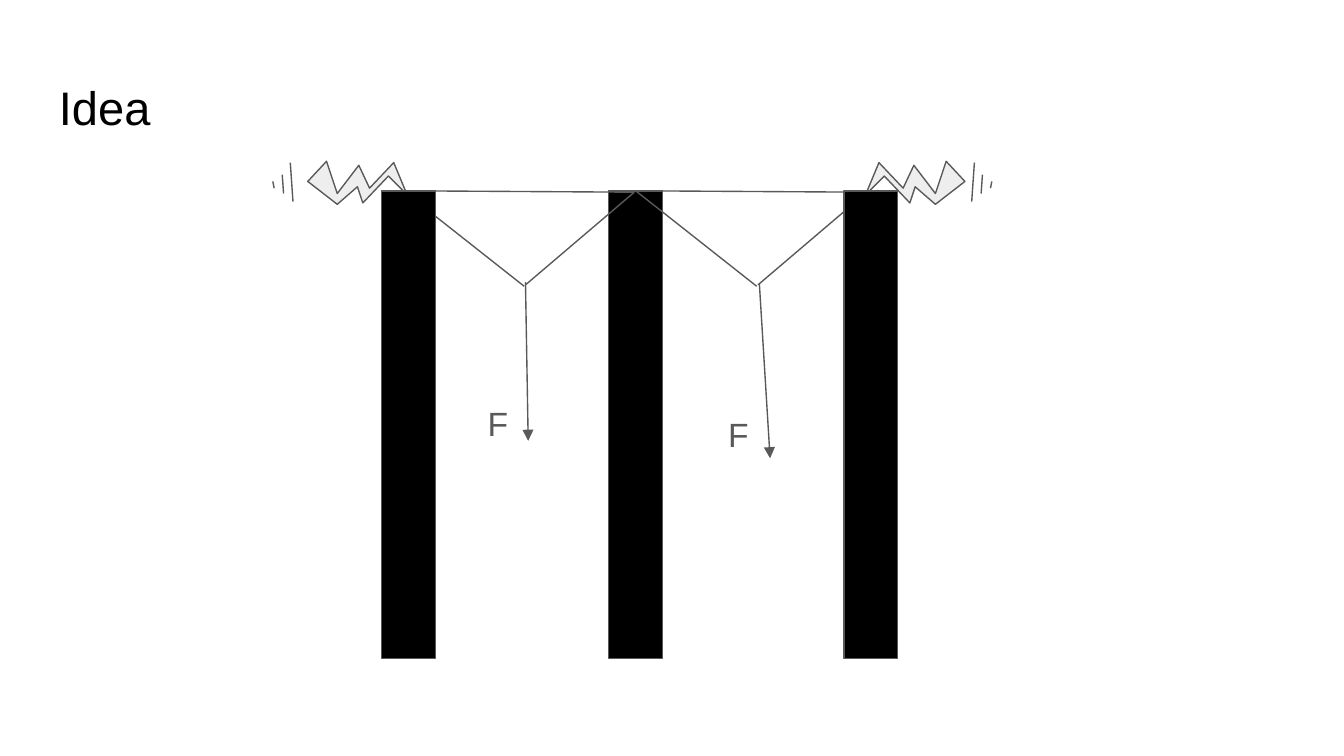
from pptx import Presentation
from pptx.util import Inches, Pt
from pptx.dml.color import RGBColor
from pptx.enum import shapes as sh, text as tx
from pptx.oxml.ns import qn
from lxml import etree

# Content
GREY, BLACK, PALE = "595959", "000000", "EEEEEE"
TEXTS = [("Idea", 0.34, 0.48, 9.32, 0.63, 25.2, BLACK, tx.MSO_ANCHOR.MIDDLE),
         ("F", 3.53, 2.9, 0.4, 0.5, 18, GREY, tx.MSO_ANCHOR.TOP),
         ("F", 5.32, 2.98, 0.4, 0.5, 18, GREY, tx.MSO_ANCHOR.TOP)]
MIDDLE, OUTER = 4.53, (6.28, 2.84)
SPANS = (4.73, 3)  # left end of each rope
ROPE = [(0, 1.42, 1.71, 1.43), (0, 1.42, 0.9, 2.13), (0.91, 2.12, 1.72, 1.43)]
SPRING = [(2.29, 1.35), (2.43, 1.2), (2.51, 1.44), (2.67, 1.23),
          (2.75, 1.4), (2.93, 1.21), (3.03, 1.45), (2.89, 1.31),
          (2.7, 1.51), (2.66, 1.39), (2.51, 1.52)]
SHAKE = [(2.16, 1.21, 2.18, 1.5), (2.1, 1.3, 2.11, 1.44), (2.03, 1.35, 2.04, 1.4)]
FORCES = [(3.91, 2.1, 3.93, 3.28), (5.65, 2.11, 5.73, 3.41)]
SPRING_SUM, SHAKE_SUM = 9.47, 9.41  # left x + right x of mirrored parts

# Slide, 16:9
deck = Presentation()
deck.slide_width = Inches(10)
deck.slide_height = Inches(10) * 9 // 16
slide = deck.slides.add_slide(deck.slide_layouts[6])
parts = slide.shapes


def color(code):
    return RGBColor.from_string(code)


def paint(shape, fill):
    shape.shadow.inherit = False
    shape.fill.solid()
    shape.fill.fore_color.rgb = color(fill)
    shape.line.color.rgb = color(GREY)
    shape.line.width = Pt(0.75)


def pillar(x):
    box = parts.add_shape(sh.MSO_SHAPE.RECTANGLE, Inches(x), Inches(1.42),
                          Inches(0.4), Inches(3.48))
    paint(box, BLACK)


def line(ends, arrow=False):
    item = parts.add_connector(sh.MSO_CONNECTOR.STRAIGHT, *map(Inches, ends))
    item.line.color.rgb = color(GREY)
    item.line.width = Pt(0.75)
    if arrow:
        edge = item._element.spPr.find(qn("a:ln"))
        etree.SubElement(edge, qn("a:tailEnd")).set("type", "triangle")
    etree.SubElement(item._element.spPr, qn("a:effectLst"))


def spring(points):
    spots = [(Inches(x), Inches(y)) for x, y in points]
    pen = parts.build_freeform(*spots[0])
    pen.add_line_segments(spots[1:], close=True)
    paint(pen.convert_to_shape(), PALE)


def label(words, x, y, w, h, size, ink, anchor):
    frame = parts.add_textbox(*map(Inches, (x, y, w, h))).text_frame
    frame.word_wrap = True
    frame.vertical_anchor = anchor
    frame.margin_left = frame.margin_right = Inches(0.1)
    frame.margin_top = frame.margin_bottom = Inches(0.1)
    frame.text = words
    font = frame.paragraphs[0].runs[0].font
    font.name, font.size = "Arial", Pt(size)
    font.color.rgb = color(ink)


# Middle pillar and ropes
pillar(MIDDLE)
for left in SPANS:
    for x1, y1, x2, y2 in ROPE:
        line((left + x1, y1, left + x2, y2))

# Springs and shake marks, left and mirrored right
spring(SPRING)
spring([(SPRING_SUM - x, y) for x, y in SPRING])
for x1, y1, x2, y2 in SHAKE:
    line((x1, y1, x2, y2))
    line((SHAKE_SUM - x1, y1, SHAKE_SUM - x2, y2))

# Forces, outer pillars and words
for force in FORCES:
    line(force, arrow=True)
for x in OUTER:
    pillar(x)
for item in TEXTS:
    label(*item)

deck.save("out.pptx")
